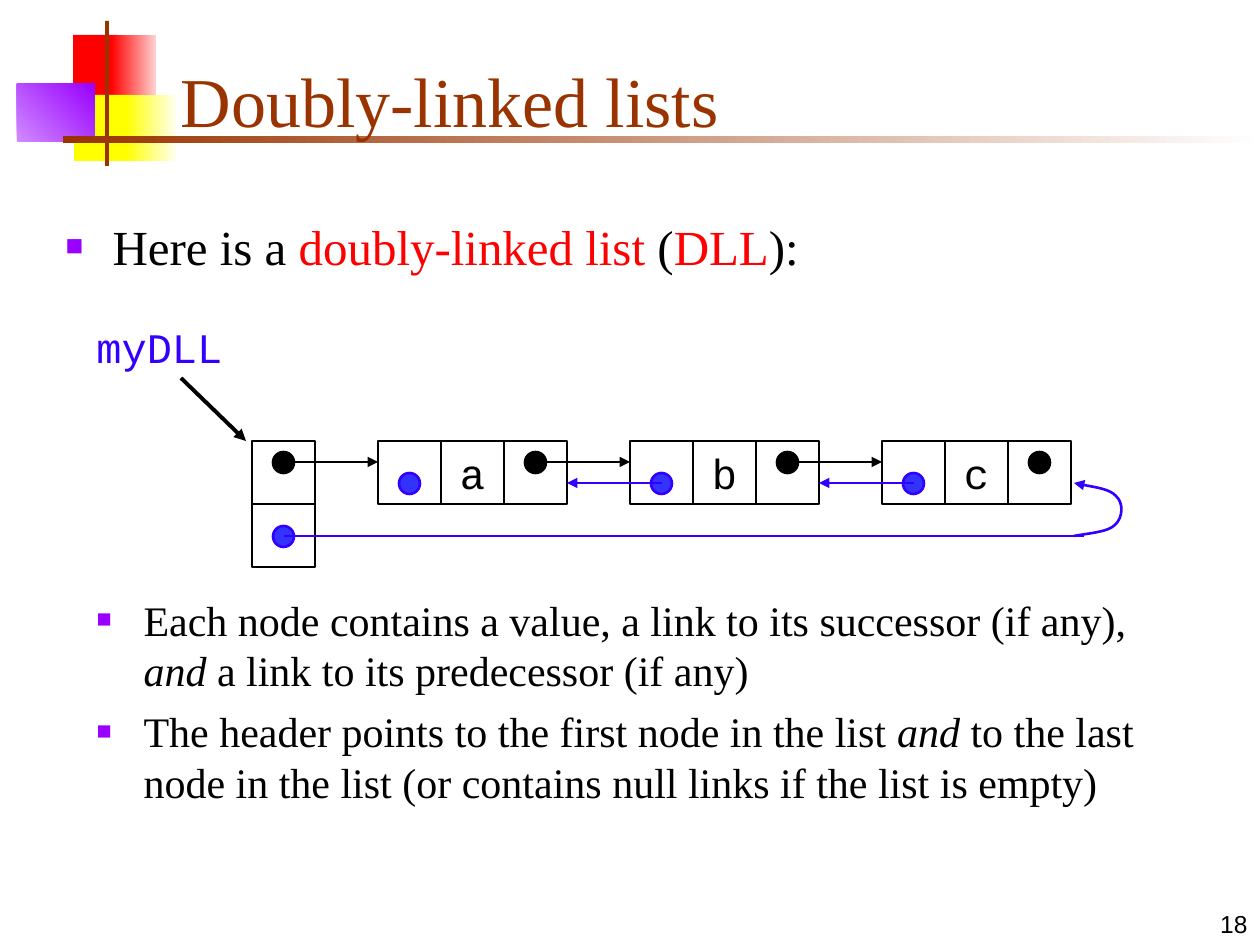
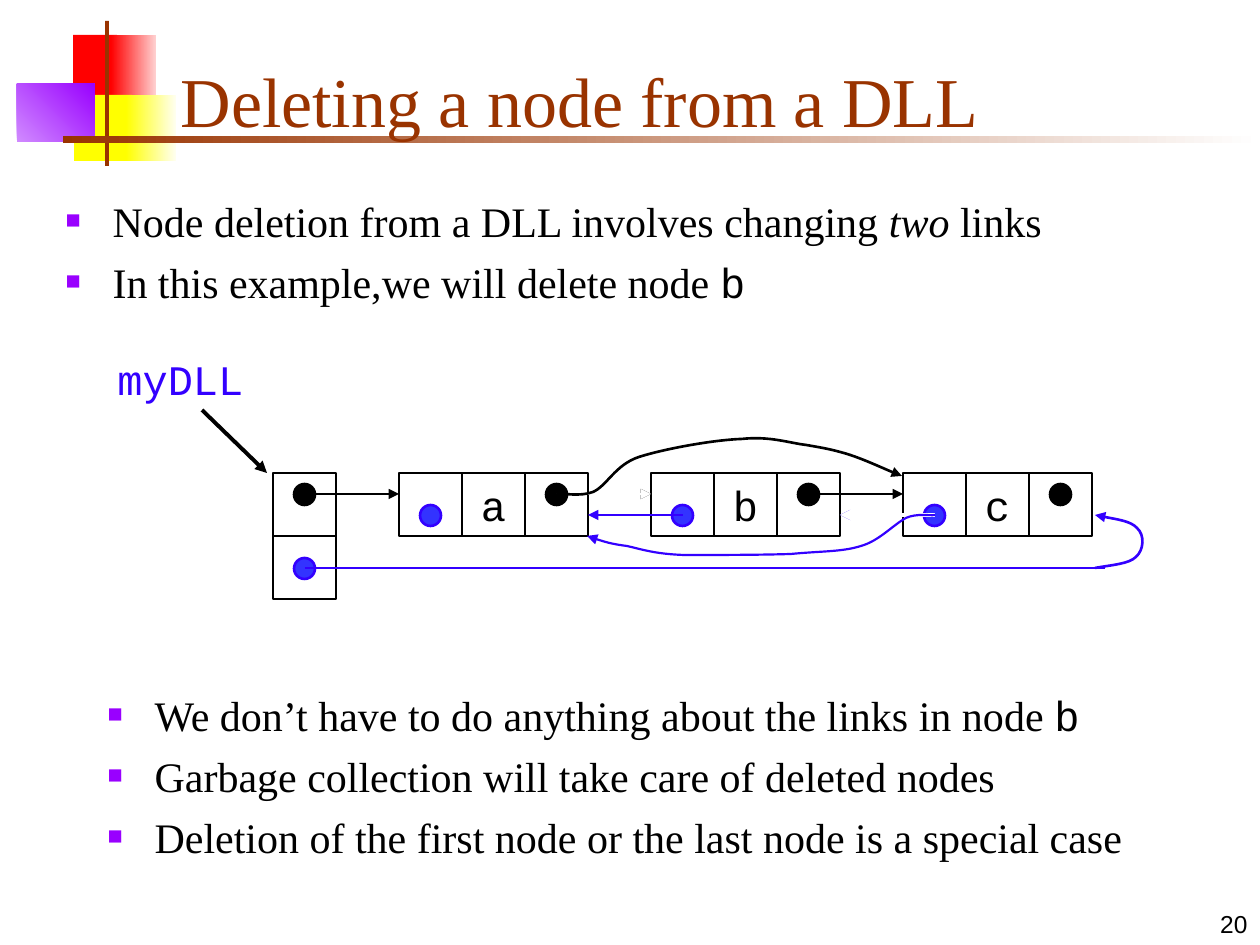
"""Build two slides on doubly-linked lists."""
import pptx
import pptx.dml.color
import pptx.enum.shapes
import pptx.enum.text
import pptx.oxml
import pptx.oxml.ns
import pptx.util
from lxml import etree

RGB = pptx.dml.color.RGBColor
BLACK, WHITE = RGB(0, 0, 0), RGB(255, 255, 255)
RED, BROWN = RGB(255, 0, 0), RGB(0x99, 0x33, 0)
YELLOW, CREAM = RGB(255, 255, 0), RGB(255, 255, 0xF0)
PINK, LILAC = RGB(255, 0xD1, 0xD1), RGB(0xD1, 0x8B, 255)
PURPLE = RGB(0x99, 0, 255)
BLUE, DOT = RGB(0x33, 0, 255), RGB(0x33, 0x33, 255)
SERIF, MONO, SANS = "Times New Roman", "Courier New", "Arial"

STYLES = {
    "": {"name": SERIF, "rgb": BLACK},
    "red": {"name": SERIF, "rgb": RED},
    "it": {"name": SERIF, "rgb": BLACK, "italic": True},
    "code": {"name": MONO, "rgb": BLACK},
    "blue": {"name": MONO, "rgb": BLUE},
    "head": {"name": SERIF, "rgb": BROWN},
    "page": {"name": SANS, "rgb": BLACK},
}

SLIDES = [
    {
        "title": "Doubly-linked lists",
        "page": "18",
        "origin": (252, 441),
        "lists": [
            {"at": (53, 210, 1182, 97), "size": 28, "items": [
                [("Here is a ", ""), ("doubly-linked list", "red"), (" (", ""),
                 ("DLL", "red"), ("):", "")]]},
            {"at": (84, 588, 1071, 325), "size": 24, "items": [
                [("Each node contains a value, a link to its successor (if any), ", ""),
                 ("and", "it"), (" a link to its predecessor (if any)", "")],
                [("The header points to the first node in the list ", ""), ("and", "it"),
                 (" to the last node in the list (or contains null links if the list "
                  "is empty)", "")]]},
        ],
        "delete": False,
    },
    {
        "title": "Deleting a node from a DLL",
        "page": "20",
        "origin": (273, 473),
        "lists": [
            {"at": (53, 189, 1182, 126), "size": 24, "items": [
                [("Node deletion from a DLL involves changing ", ""), ("two", "it"),
                 (" links", "")],
                [("In this example,we will delete node ", ""), ("b", "code")]]},
            {"at": (95, 683, 1071, 199), "size": 24, "items": [
                [("We don’t have to do anything about the links in node ", ""),
                 ("b", "code")],
                [("Garbage collection will take care of deleted nodes", "")],
                [("Deletion of the first node or the last node is a special case", "")]]},
        ],
        "delete": True,
    },
]
VALUES = "abc"

BANDS = [
    ((73, 35, 44, 66), (RED,), 0),
    ((111, 35, 45, 66), (RED, PINK), 0),
    ((74, 95, 58, 66), (YELLOW,), 0),
    ((126, 95, 50, 66), (YELLOW, CREAM), 0),
    ((17, 84, 78, 58), (LILAC, PURPLE), 45),
    ((105, 21, 4, 145), (BROWN,), 0),
    ((63, 136, 1197, 7), (BROWN, WHITE), 0),
]
TITLE, PAGE = (168, 32, 1074, 116), (998, 882, 262, 63)

CELL, SPOT, MID, NEXT, PREV = 63, 21, 32, 21, 42
STEP = 4 * CELL
LOOP = [(822, 95), (839, 92), (856, 91), (863, 84), (871, 77), (872, 62), (864, 55),
        (858, 48), (830, 44), (822, 42)]
SKIP = [(284, 21), (290, 20), (307, 24), (320, 19), (334, 13), (342, -8), (366, -16),
        (391, -24), (440, -33), (469, -34), (497, -37), (516, -30), (533, -28),
        (550, -25), (557, -24), (574, -19), (590, -14), (618, -1), (629, 3)]
BACK = [(662, 42), (657, 43), (644, 40), (633, 45), (620, 52), (606, 68), (588, 73),
        (569, 79), (549, 78), (518, 81), (489, 82), (438, 82), (411, 82), (383, 81),
        (371, 77), (354, 73), (338, 71), (322, 66), (314, 63)]

SHAPE = pptx.enum.shapes.MSO_SHAPE
ANCHOR = pptx.enum.text.MSO_ANCHOR
ALIGN = pptx.enum.text.PP_ALIGN
PLAIN = {"word_wrap": True, "auto_size": pptx.enum.text.MSO_AUTO_SIZE.NONE}
qn = pptx.oxml.ns.qn


def px(n):
    return round(n * 914400 / 126)


def put(obj, **vals):
    for key, val in vals.items():
        setattr(obj, key, val)


def place(shape, box):
    put(shape, **dict(zip(("left", "top", "width", "height"), map(px, box))))


def write(para, runs, size):
    for text, style in runs:
        run = para.add_run()
        run.text = text
        look = dict(STYLES[style])
        put(run.font.color, rgb=look.pop("rgb"))
        put(run.font, size=pptx.util.Pt(size), **look)


def label(shape, text, style, size, align, **frame):
    put(shape.text_frame, **{**PLAIN, **frame})
    para = shape.text_frame.paragraphs[0]
    para.alignment = align
    write(para, [(text, style)], size)


def bullet(para):
    props = para._p.get_or_add_pPr()
    put_in = {"marL": px(47), "indent": -px(47)}
    for key, val in put_in.items():
        props.set(key, str(val))
    color = etree.SubElement(props, qn("a:buClr"))
    etree.SubElement(color, qn("a:srgbClr"), val=str(PURPLE))
    etree.SubElement(props, qn("a:buSzPct"), val="60000")
    etree.SubElement(props, qn("a:buFont"), typeface=SERIF)
    etree.SubElement(props, qn("a:buChar"), char="■")


def fill_list(holder, part):
    place(holder, part["at"])
    frame = holder.text_frame
    put(frame, vertical_anchor=ANCHOR.TOP, **PLAIN)
    for i, runs in enumerate(part["items"]):
        para = frame.add_paragraph() if i else frame.paragraphs[0]
        bullet(para)
        para.space_before = pptx.util.Pt(6 if i else 0)
        write(para, runs, part["size"])


def stroke(shape, color, width, arrow=False):
    put(shape.line.color, rgb=color)
    put(shape.line, width=pptx.util.Pt(width))
    if arrow:
        etree.SubElement(shape.element.find(".//" + qn("a:ln")), qn("a:tailEnd"),
                         type="triangle")


def band(slide, box, colors, angle):
    shape = slide.shapes.add_shape(SHAPE.RECTANGLE, *map(px, box))
    shape.shadow.inherit = False
    shape.line.fill.background()
    if len(colors) == 1:
        shape.fill.solid()
        shape.fill.fore_color.rgb = colors[0]
    else:
        shape.fill.gradient()
        shape.fill.gradient_angle = angle
        for stop, color, pos in zip(shape.fill.gradient_stops, colors, (0, 1)):
            stop.color.rgb = color
            stop.position = pos
    return shape


class Figure:
    """Drawing helper whose points are relative to the header cell."""

    def __init__(self, slide, origin):
        self.shapes = slide.shapes
        self.x, self.y = origin

    def at(self, x, y):
        return px(self.x + x), px(self.y + y)

    def shape(self, kind, x, y, side, color, fill=None):
        shape = self.shapes.add_shape(kind, *self.at(x, y), px(side), px(side))
        shape.shadow.inherit = False
        if fill is None:
            shape.fill.background()
        else:
            shape.fill.solid()
            shape.fill.fore_color.rgb = fill
        stroke(shape, color, 1.5)
        return shape

    def cell(self, x, y):
        return self.shape(SHAPE.RECTANGLE, x, y, CELL, BLACK)

    def dot(self, x, y, color, fill):
        self.shape(SHAPE.OVAL, x + SPOT, y - SPOT // 2, SPOT, color, fill)

    def line(self, start, end, color, width=1.5, arrow=True):
        kind = pptx.enum.shapes.MSO_CONNECTOR.STRAIGHT
        line = self.shapes.add_connector(kind, *self.at(*start), *self.at(*end))
        stroke(line, color, width, arrow)
        etree.SubElement(line.element.spPr, qn("a:effectLst"))

    def follow(self, x, color=BLACK):
        self.line((x + MID, NEXT), (x + MID + 94, NEXT), color)

    def revert(self, x, color=BLUE, width=1.5):
        self.line((x + MID, PREV), (x - CELL, PREV), color, width)

    def curve(self, points, color, width=1.5):
        first, *rest = [self.at(*point) for point in points]
        build = self.shapes.build_freeform(*first)
        build.add_line_segments(rest, close=False)
        shape = build.convert_to_shape()
        shape.shadow.inherit = False
        shape.fill.background()
        stroke(shape, color, width, True)
        route = shape.element.find(".//" + qn("a:path"))
        steps = route.findall(qn("a:lnTo"))
        for i in range(0, len(steps), 3):
            bend = etree.SubElement(route, qn("a:cubicBezTo"))
            for step in steps[i:i + 3]:
                bend.append(step[0])
                route.remove(step)


def draw(slide, origin, delete):
    fig = Figure(slide, origin)
    fig.line((-71, -63), (-6, 0), BLACK, 2.25)
    name = slide.shapes.add_textbox(*fig.at(-168, -126), px(179), px(63))
    label(name, "myDLL", "blue", 24, ALIGN.LEFT, vertical_anchor=ANCHOR.MIDDLE)
    for y in (0, CELL):
        fig.cell(0, y)
    fig.dot(0, NEXT, BLACK, BLACK)
    fig.dot(0, 95, BLUE, DOT)
    fig.follow(0)
    fig.line((MID, 95), (832, 95), BLUE, arrow=False)
    fig.curve(LOOP, BLUE)

    nodes = [2 * CELL + i * STEP for i in range(len(VALUES))]
    for x, value in zip(nodes, VALUES):
        fig.cell(x, 0)
        label(fig.cell(x + CELL, 0), value, "code", 24, ALIGN.CENTER,
              word_wrap=False, vertical_anchor=ANCHOR.MIDDLE)
        fig.cell(x + 2 * CELL, 0)
        fig.dot(x, PREV, BLUE, DOT)
        fig.dot(x + 2 * CELL, NEXT, BLACK, BLACK)
    for x in nodes[:-1]:
        fig.follow(x + 2 * CELL)
    for x in nodes[1:]:
        fig.revert(x)

    if delete:
        fig.revert(nodes[2], WHITE, 2.25)
        fig.follow(nodes[0] + 2 * CELL, WHITE)
        fig.curve(SKIP, BLACK)
        fig.curve(BACK, BLUE, 1.25)


def main():
    deck = pptx.Presentation()
    put(deck, slide_width=px(1260), slide_height=px(945))
    layout = deck.slide_layouts[3]
    for num, page in enumerate(SLIDES):
        slide = deck.slides.add_slide(layout)
        if num == 0:
            for i, part in enumerate(BANDS):
                layout.shapes.element.insert(2 + i, band(slide, *part).element)
        title, *bodies = slide.placeholders
        place(title, TITLE)
        label(title, page["title"], "head", 40, ALIGN.LEFT,
              vertical_anchor=ANCHOR.BOTTOM)
        for body, part in zip(bodies, page["lists"]):
            fill_list(body, part)
        foot = slide.shapes.add_textbox(*map(px, PAGE))
        label(foot, page["page"], "page", 14, ALIGN.RIGHT,
              vertical_anchor=ANCHOR.BOTTOM)
        draw(slide, page["origin"], page["delete"])
    deck.save("out.pptx")


if __name__ == "__main__":
    main()
